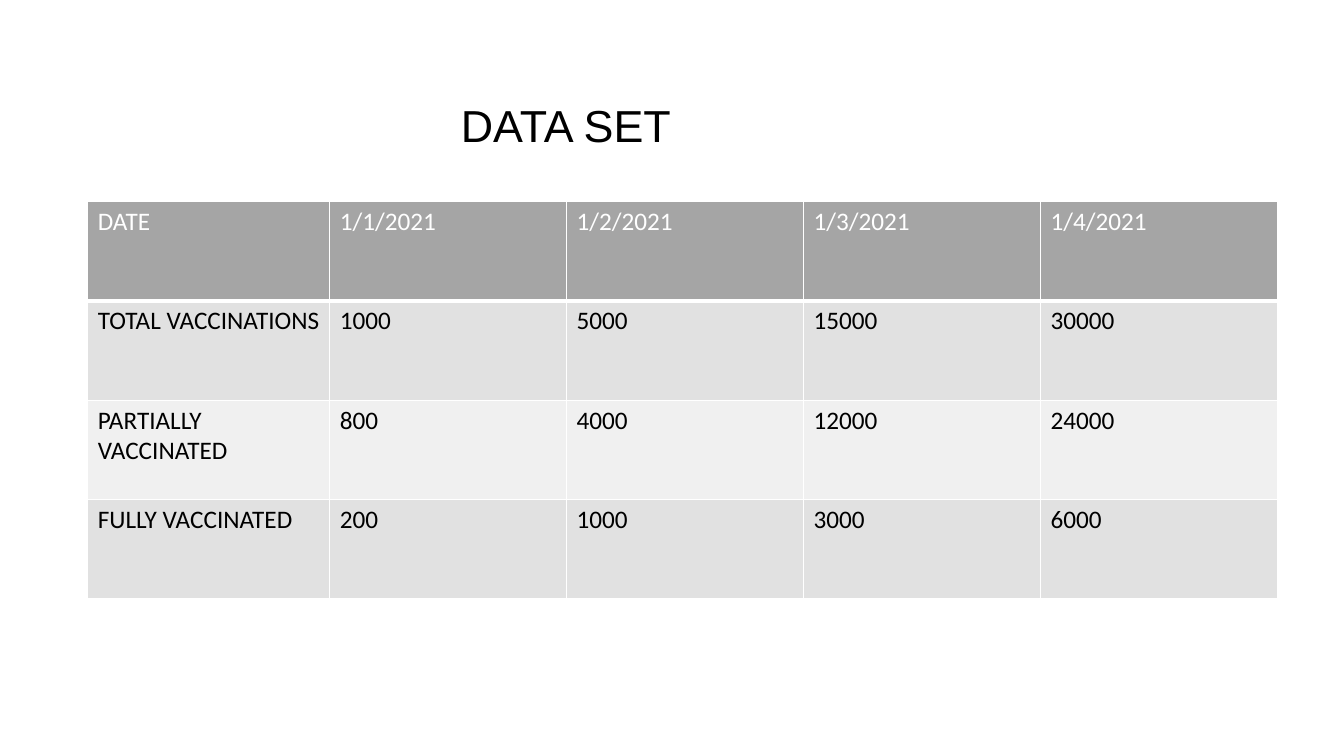
from dataclasses import dataclass

from lxml import etree
from pptx import Presentation
from pptx.dml.color import RGBColor as RGB
from pptx.oxml.ns import qn
from pptx.util import Inches, Pt


@dataclass(frozen=True)
class Theme:
    title_font: str = "Arial"
    table_font: str = "Calibri"
    title_size: int = 32
    table_size: int = 18
    text: str = "000000"
    header_text: str = "FFFFFF"
    header_fill: str = "A5A5A5"
    band_fills: tuple = ("E1E1E1", "F0F0F0")
    border: str = "FFFFFF"
    border_width: int = 1
    header_rule_width: int = 3


THEME = Theme()

VACCINATIONS = [
    ["DATE", "1/1/2021", "1/2/2021", "1/3/2021", "1/4/2021"],
    ["TOTAL VACCINATIONS", "1000", "5000", "15000", "30000"],
    ["PARTIALLY VACCINATED", "800", "4000", "12000", "24000"],
    ["FULLY VACCINATED", "200", "1000", "3000", "6000"],
]
LABEL_WIDTH = 2.4
TITLE_INDENT = 2.05


def style_font(font, name, size, color):
    font.name = name
    font.size = Pt(size)
    font.bold = False
    font.color.rgb = RGB.from_string(color)


def set_borders(cell, bottom_width):
    properties = cell._tc.get_or_add_tcPr()
    widths = {"a:lnL": THEME.border_width, "a:lnR": THEME.border_width,
              "a:lnT": THEME.border_width, "a:lnB": bottom_width}
    for side, width in widths.items():
        line = etree.SubElement(properties, qn(side), w=str(Pt(width)))
        fill = etree.SubElement(line, qn("a:solidFill"))
        etree.SubElement(fill, qn("a:srgbClr"), val=THEME.border)


def add_title(slide, left, top, width, height):
    box = slide.shapes.add_textbox(
        Inches(left), Inches(top), Inches(width), Inches(height))
    frame = box.text_frame
    frame.word_wrap = True
    frame.margin_left = Inches(TITLE_INDENT)
    title = frame.paragraphs[0]
    title.text = "DATA SET"
    style_font(title.font, THEME.title_font, THEME.title_size, THEME.text)


def add_vaccination_table(slide, left, top, width, height):
    row_count, column_count = len(VACCINATIONS), len(VACCINATIONS[0])
    table = slide.shapes.add_table(
        row_count, column_count,
        Inches(left), Inches(top), Inches(width), Inches(height)).table

    date_width = (width - LABEL_WIDTH) / (column_count - 1)
    for index, column in enumerate(table.columns):
        column.width = Inches(date_width if index else LABEL_WIDTH)

    for row_index, entries in enumerate(VACCINATIONS):
        if row_index == 0:
            fill, color = THEME.header_fill, THEME.header_text
            bottom_width = THEME.header_rule_width
        else:
            fill, color = THEME.band_fills[(row_index - 1) % 2], THEME.text
            bottom_width = THEME.border_width
        for column_index, entry in enumerate(entries):
            cell = table.cell(row_index, column_index)
            cell.text = entry
            style_font(cell.text_frame.paragraphs[0].font,
                       THEME.table_font, THEME.table_size, color)
            set_borders(cell, bottom_width)
            cell.fill.solid()
            cell.fill.fore_color.rgb = RGB.from_string(fill)


def main():
    deck = Presentation()
    deck.slide_width, deck.slide_height = Inches(13.33), Inches(7.5)
    slide = deck.slides.add_slide(deck.slide_layouts[6])
    add_vaccination_table(slide, 0.87, 2, 11.8, 3.94)
    add_title(slide, 2.52, 0.92, 8.49, 0.64)
    deck.save("out.pptx")


if __name__ == "__main__":
    main()
